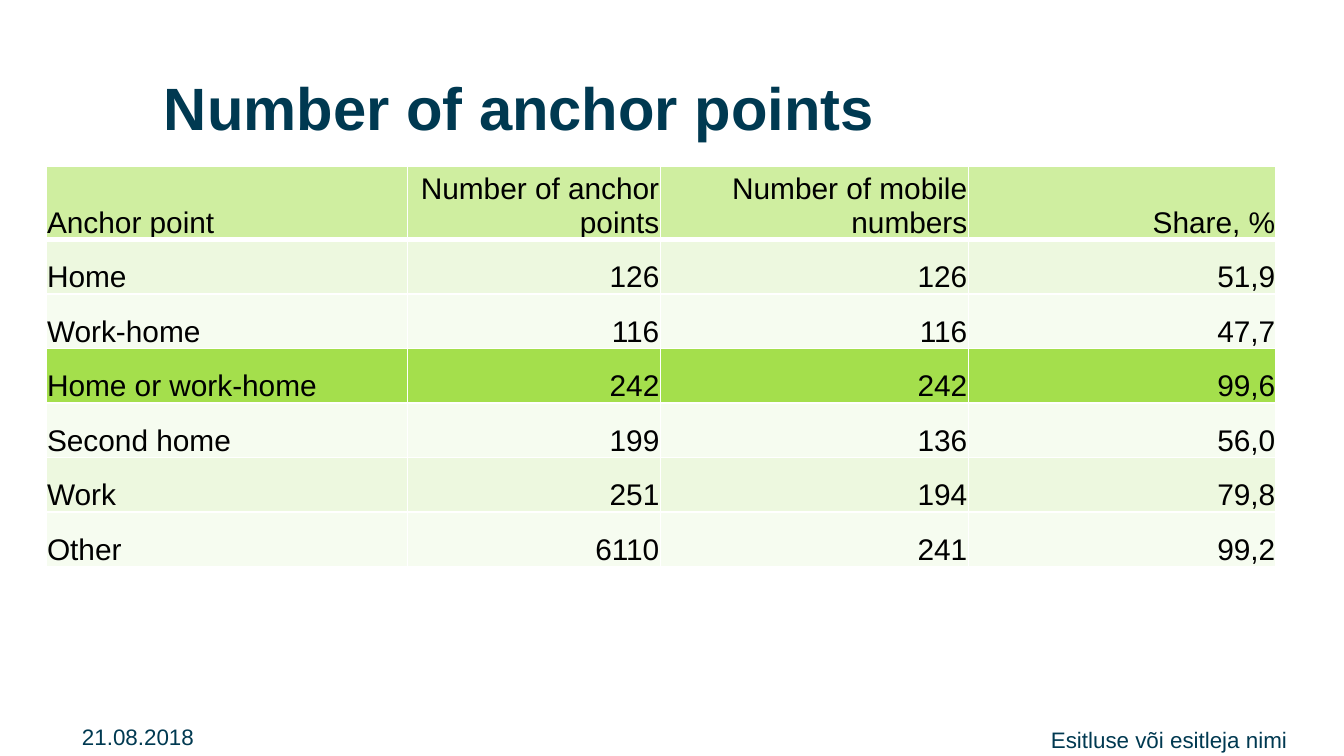
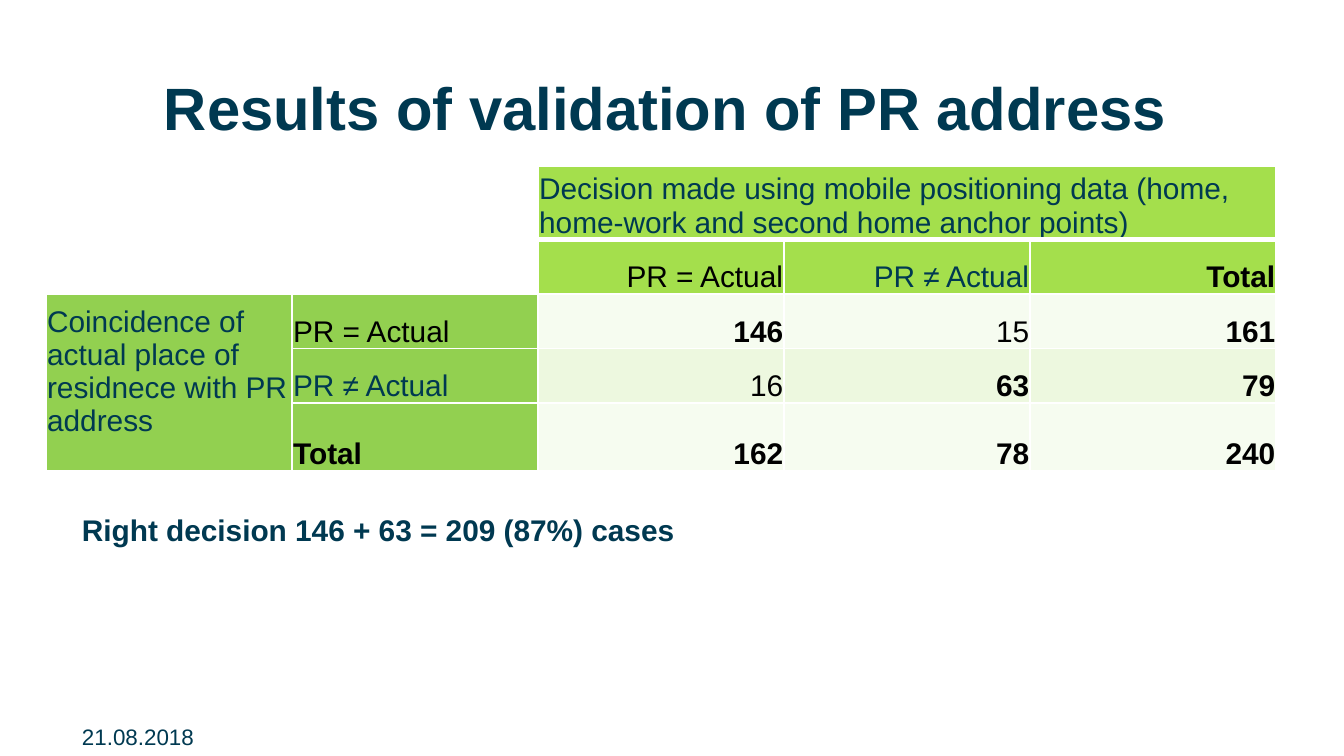
import dataclasses
import typing

import lxml.etree
import pptx
import pptx.dml.color
import pptx.enum.text
import pptx.oxml.ns
import pptx.slide
import pptx.table
import pptx.util

Cm = pptx.util.Cm
Pt = pptx.util.Pt
Align = pptx.enum.text.PP_ALIGN
Anchor = pptx.enum.text.MSO_ANCHOR


@dataclasses.dataclass(frozen=True)
class Theme:
    font: str = "Arial"
    navy: str = "003951"
    black: str = "000000"
    white: str = "FFFFFF"
    head: str = "CFEEA0"
    lime: str = "A4DF4C"
    green: str = "92D050"
    band: str = "EDF8DF"
    pale: str = "F6FCF0"
    title: int = 32
    body: int = 16
    small: int = 12


THEME = Theme()


@dataclasses.dataclass(frozen=True)
class Label:
    """A text box: place in cm, type and inner margins."""
    left: float
    top: float
    width: float
    height: float
    size: int
    bold: bool = False
    align: Align = Align.LEFT
    anchor: Anchor = Anchor.TOP
    inset: tuple[float, float] = (0, 0)


@dataclasses.dataclass(frozen=True)
class Look:
    """The style of one table cell."""
    fill: str | None
    color: str = THEME.black
    bold: bool = False
    align: Align = Align.LEFT
    foot: float = 0


Styler = typing.Callable[[int, int, str], Look]

PAD = (0.25, 0.13)
TITLE = Label(3.1, 1.35, 20.8, 1.35, THEME.title, True, anchor=Anchor.MIDDLE)
DATE = Label(1.3, 13.54, 5.92, 0.76, THEME.small, anchor=Anchor.MIDDLE, inset=PAD)
NAME = Label(16.28, 13.82, 8.05, 0.48, THEME.small, align=Align.RIGHT)
NOTE = Label(1.3, 9.55, 17.2, 0.94, THEME.body, True, inset=PAD)

LEFT, TOP, ROW = 0.87, 3.15, 1.03
EDGES = {"lnL": 1, "lnR": 1, "lnT": 1, "lnB": 1}

ANCHORS = [
    ["Anchor point", "Number of anchor points", "Number of mobile numbers", "Share, %"],
    ["Home", "126", "126", "51,9"],
    ["Work-home", "116", "116", "47,7"],
    ["Home or work-home", "242", "242", "99,6"],
    ["Second home", "199", "136", "56,0"],
    ["Work", "251", "194", "79,8"],
    ["Other", "6110", "241", "99,2"],
]
CHECKS = [
    ["", "", "Decision made using mobile positioning data "
     "(home, home-work and second home anchor points)", "", ""],
    ["", "", "PR = Actual", "PR ≠ Actual", "Total"],
    ["Coincidence of actual place of residnece with PR address",
     "PR = Actual", "146", "15", "161"],
    ["", "PR ≠ Actual", "16", "63", "79"],
    ["", "Total", "162", "78", "240"],
]


def paint(par, size: int, color: str, bold: bool, align: Align) -> None:
    par.alignment = align
    for run in par.runs:
        run.font.name = THEME.font
        run.font.size = Pt(size)
        run.font.bold = bold
        run.font.color.rgb = pptx.dml.color.RGBColor.from_string(color)


def write(slide: pptx.slide.Slide, label: Label, text: str):
    """Add a text box and return its paragraph."""
    box = slide.shapes.add_textbox(
        Cm(label.left), Cm(label.top), Cm(label.width), Cm(label.height))
    frame = box.text_frame
    frame.word_wrap = True
    frame.vertical_anchor = label.anchor
    frame.margin_left = frame.margin_right = Cm(label.inset[0])
    frame.margin_top = frame.margin_bottom = Cm(label.inset[1])
    frame.text = text
    par = frame.paragraphs[0]
    paint(par, label.size, THEME.navy, label.bold, label.align)
    return par


def edge(cell, widths: dict[str, int]) -> None:
    """Draw white borders of the given point widths."""
    props = cell._tc.get_or_add_tcPr()
    qn = pptx.oxml.ns.qn
    for tag, width in widths.items():
        line = lxml.etree.SubElement(props, qn(f"a:{tag}"), w=str(Pt(width)))
        fill = lxml.etree.SubElement(line, qn("a:solidFill"))
        lxml.etree.SubElement(fill, qn("a:srgbClr"), val=THEME.white)


def dress(cell, text: str, look: Look, widths: dict[str, int]) -> None:
    edge(cell, widths)
    if look.fill:
        cell.fill.solid()
        cell.fill.fore_color.rgb = pptx.dml.color.RGBColor.from_string(look.fill)
    else:
        cell.fill.background()
    cell.margin_left = cell.margin_right = cell.margin_top = Cm(0.02)
    cell.margin_bottom = Cm(look.foot)
    cell.vertical_anchor = Anchor.BOTTOM
    cell.text_frame.text = text
    par = cell.text_frame.paragraphs[0]
    par.font.size = Pt(THEME.body)
    paint(par, THEME.body, look.color, look.bold, look.align)


def grid(slide: pptx.slide.Slide, data: list[list[str]], cols: list[float],
         style: Styler) -> pptx.table.Table:
    table = slide.shapes.add_table(
        len(data), len(cols), Cm(LEFT), Cm(TOP),
        Cm(sum(cols)), Cm(ROW * len(data))).table
    table.first_row = table.horz_banding = False
    for col, width in zip(table.columns, cols):
        col.width = Cm(width)
    for r, texts in enumerate(data):
        table.rows[r].height = Cm(ROW)
        widths = EDGES if r else EDGES | {"lnB": 3}
        for c, text in enumerate(texts):
            dress(table.cell(r, c), text, style(r, c, text), widths)
    return table


def stripe(row: int) -> str:
    return THEME.band if row % 2 else THEME.pale


def count(row: int, col: int, text: str) -> Look:
    """Style the table of anchor points."""
    fill = {0: THEME.head, 3: THEME.lime}.get(row, stripe(row))
    return Look(fill, align=Align.RIGHT if col else Align.LEFT)


def check(row: int, col: int, text: str) -> Look:
    """Style the cross table: totals and matching decisions are bold."""
    if row < 2:
        fill = THEME.lime if col > 1 else None
    else:
        fill = stripe(row) if col > 1 else THEME.green
    span = (row, col) in ((0, 2), (2, 0))
    return Look(
        fill,
        color=THEME.navy if span or "≠" in text else THEME.black,
        bold=row == col or 4 in (row, col),
        align=Align.RIGHT if row and col > 1 else Align.LEFT,
        foot=0.62 if (row, col) == (2, 0) else 0)


def start(deck, title: str) -> pptx.slide.Slide:
    """Add a slide with the shared title and date."""
    slide = deck.slides.add_slide(deck.slide_layouts[6])
    write(slide, TITLE, title)
    write(slide, DATE, "21.08.2018")
    return slide


def main() -> None:
    deck = pptx.Presentation()
    deck.slide_width, deck.slide_height = Cm(25.4), Cm(14.29)

    slide = start(deck, "Number of anchor points")
    grid(slide, ANCHORS, [6.83, 4.78, 5.82, 5.82], count)
    name = write(slide, NAME, "Esitluse või esitleja nimi")
    name.line_spacing = 0.8
    name.space_before = Pt(2.4)

    slide = start(deck, "Results of validation of PR address")
    table = grid(slide, CHECKS, [4.65] * 5, check)
    table.cell(0, 2).merge(table.cell(0, 4))
    table.cell(2, 0).merge(table.cell(4, 0))
    write(slide, NOTE, "Right decision 146 + 63 = 209 (87%) cases")

    deck.save("out.pptx")


if __name__ == "__main__":
    main()
